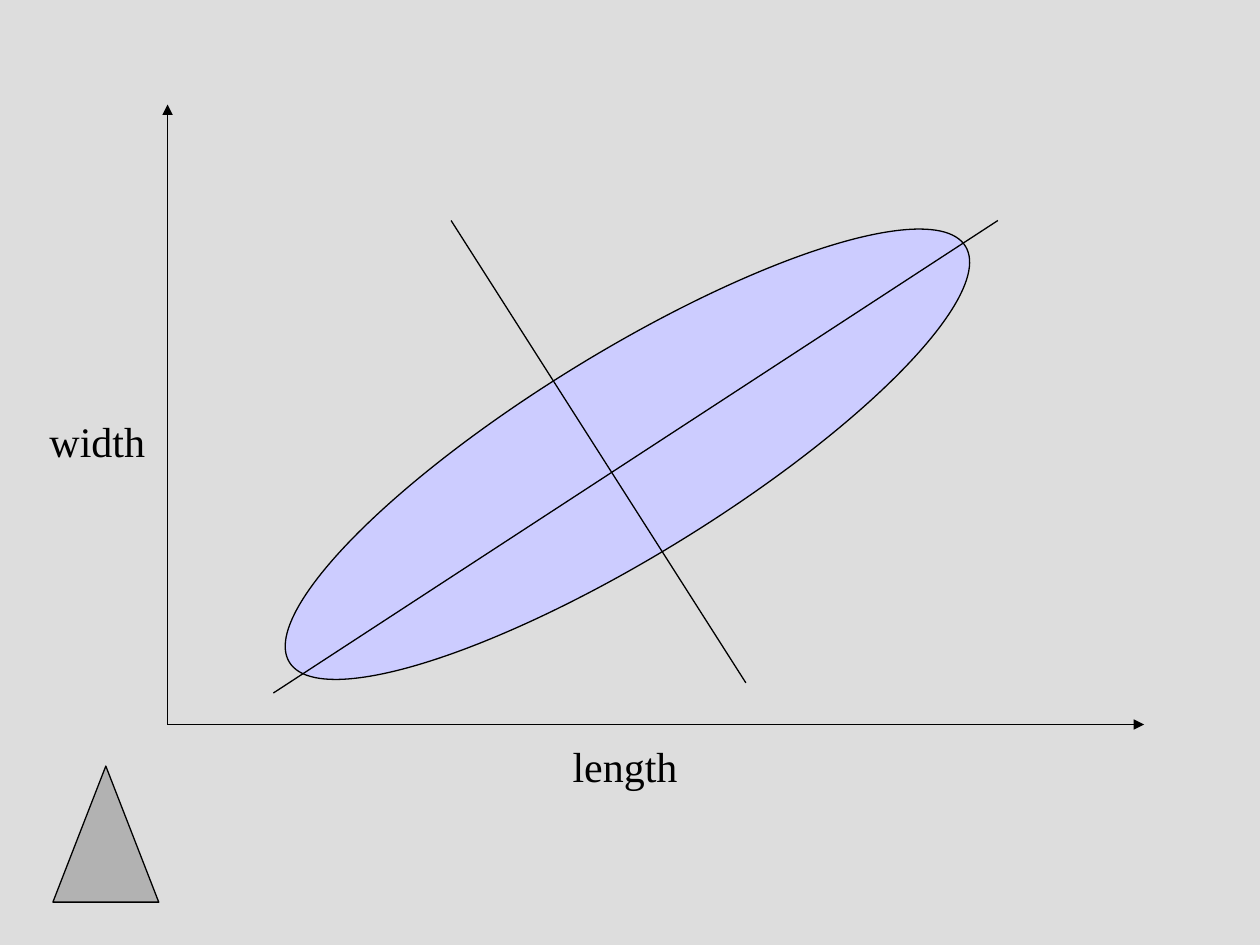
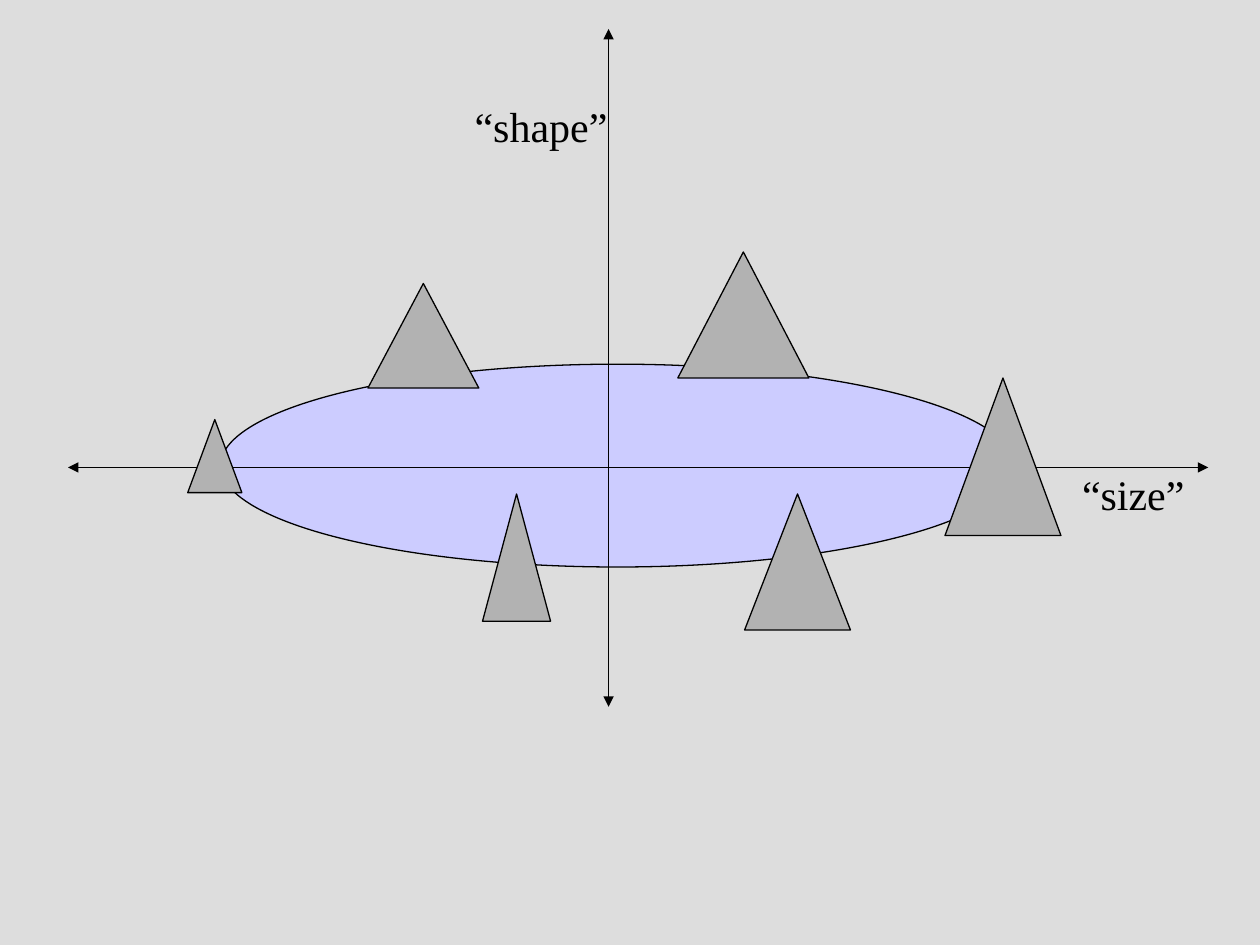
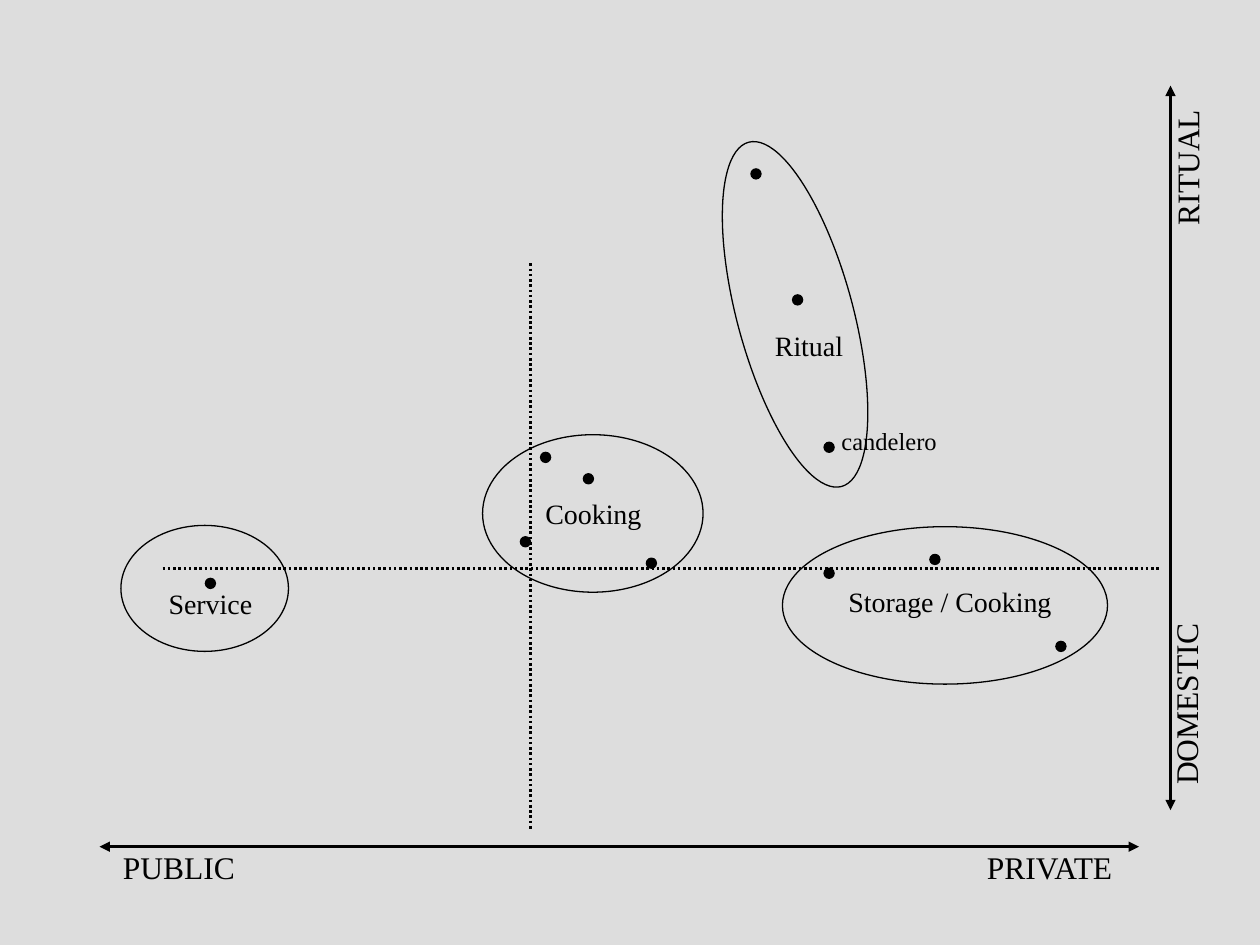
from dataclasses import dataclass

from lxml import etree
from pptx import Presentation
from pptx import util as u
from pptx.dml.color import RGBColor
from pptx.enum import dml, shapes, text
from pptx.oxml import ns


@dataclass(frozen=True)
class Theme:
    background: RGBColor = RGBColor(0xDD, 0xDD, 0xDD)
    ink: RGBColor = RGBColor(0, 0, 0)
    cloud: RGBColor = RGBColor(0xCC, 0xCC, 0xFF)
    point: RGBColor = RGBColor(0xB2, 0xB2, 0xB2)
    font: str = "Times New Roman"
    axis_size: int = 24
    pole_size: int = 18
    cluster_size: int = 16
    item_size: int = 14
    thin: float = 0.75
    bold: float = 1.5


theme = Theme()
OVAL = shapes.MSO_SHAPE.OVAL
TRIANGLE = shapes.MSO_SHAPE.ISOSCELES_TRIANGLE
LEFT, CENTER, RIGHT = text.PP_ALIGN.LEFT, text.PP_ALIGN.CENTER, text.PP_ALIGN.RIGHT


def add_figure(slide, kind, box, fill=None, rotation=0):
    shape = slide.shapes.add_shape(kind, *map(u.Inches, box))
    shape.shadow.inherit = False
    shape.rotation = rotation
    if fill is None:
        shape.fill.background()
    else:
        shape.fill.solid()
        shape.fill.fore_color.rgb = fill
    shape.line.color.rgb = theme.ink
    shape.line.width = u.Pt(theme.thin)


def add_line(slide, ends, width=theme.thin, arrows=(), dash=None):
    line = slide.shapes.add_connector(shapes.MSO_CONNECTOR.STRAIGHT, *map(u.Inches, ends))
    line.line.color.rgb = theme.ink
    line.line.width = u.Pt(width)
    if dash is not None:
        line.line.dash_style = dash
    outline = line.line._get_or_add_ln()
    for arrow in arrows:
        etree.SubElement(outline, ns.qn(f"a:{arrow}"), type="triangle")
    etree.SubElement(line._element.spPr, ns.qn("a:effectLst"))


presentation = Presentation()
presentation.slide_width = u.Inches(10)
presentation.slide_height = u.Inches(7.5)
master_fill = presentation.slide_master.background.fill
master_fill.solid()
master_fill.fore_color.rgb = theme.background
blank = presentation.slide_layouts[6]
measures, components, vessels = [presentation.slides.add_slide(blank) for _ in range(3)]
both_ends = ("headEnd", "tailEnd")

add_figure(measures, OVAL, (1.83, 2.8, 6.3, 1.61), theme.cloud, 328.4)
for axis in [(1.33, 5.75, 9.08, 5.75), (1.33, 5.75, 1.33, 0.83)]:
    add_line(measures, axis, arrows=("tailEnd",))
for component in [(2.17, 5.5, 7.92, 1.75), (5.92, 5.42, 3.58, 1.75)]:
    add_line(measures, component)
add_figure(measures, TRIANGLE, (0.42, 6.08, 0.84, 1.08), theme.point)

add_figure(components, OVAL, (1.75, 2.89, 6.3, 1.61), theme.cloud)
for axis in [(0.54, 3.71, 9.59, 3.71), (4.83, 5.61, 4.83, 0.23)]:
    add_line(components, axis, arrows=both_ends)
for triangle in [
    (7.5, 3, 0.92, 1.25),
    (1.49, 3.33, 0.43, 0.58),
    (5.38, 2, 1.04, 1),
    (2.92, 2.25, 0.88, 0.83),
    (3.83, 3.92, 0.54, 1.01),
    (5.91, 3.92, 0.84, 1.08),
]:
    add_figure(components, TRIANGLE, triangle, theme.point)

for origin in [(4.21, 2.09, 4.21, 6.59), (1.29, 4.51, 9.21, 4.51)]:
    add_line(vessels, origin, theme.bold, dash=dml.MSO_LINE.ROUND_DOT)
for left, top in [
    (5.96, 1.34), (6.29, 2.34), (6.54, 3.51),
    (8.38, 5.09), (6.54, 4.51), (7.38, 4.4),
    (4.29, 3.59), (4.63, 3.76), (4.13, 4.26), (5.13, 4.43),
    (1.63, 4.59),
]:
    add_figure(vessels, OVAL, (left, top, 0.08, 0.08), theme.ink)
for cluster, rotation in [
    ((6.21, 4.18, 2.58, 1.25), 0),
    ((3.83, 3.45, 1.75, 1.25), 0),
    ((5.85, 1.08, 0.92, 2.83), 344.9),
    ((0.96, 4.17, 1.33, 1), 0),
]:
    add_figure(vessels, OVAL, cluster, rotation=rotation)
for axis in [(0.79, 6.72, 9.04, 6.72), (9.29, 6.43, 9.29, 0.68)]:
    add_line(vessels, axis, theme.bold, both_ends)

for slide, words, box, size, alignment, rotation in [
    (measures, "length", (3.67, 5.83, 2.58, 0.5), theme.axis_size, CENTER, 0),
    (measures, "width", (0.17, 3.25, 1.08, 0.5), theme.axis_size, RIGHT, 0),
    (components, "“size”", (8.17, 3.67, 1.33, 0.5), theme.axis_size, RIGHT, 0),
    (components, "“shape”", (3.42, 0.75, 1.5, 0.5), theme.axis_size, RIGHT, 0),
    (vessels, "Storage / Cooking", (6.54, 4.59, 2, 0.37), theme.cluster_size, CENTER, 0),
    (vessels, "Cooking", (3.71, 3.89, 2, 0.37), theme.cluster_size, CENTER, 0),
    (vessels, "PUBLIC", (0.42, 6.68, 2, 0.4), theme.pole_size, CENTER, 0),
    (vessels, "PRIVATE", (7.33, 6.68, 2, 0.4), theme.pole_size, CENTER, 0),
    (vessels, "DOMESTIC", (8.41, 5.39, 2, 0.4), theme.pole_size, CENTER, 270),
    (vessels, "RITUAL", (8.6, 1.13, 1.64, 0.4), theme.pole_size, CENTER, 270),
    (vessels, "Ritual", (6.04, 2.56, 0.75, 0.37), theme.cluster_size, RIGHT, 0),
    (vessels, "candelero", (6.58, 3.33, 2.08, 0.34), theme.item_size, LEFT, 0),
    (vessels, "Service", (0.67, 4.61, 2, 0.37), theme.cluster_size, CENTER, 0),
]:
    label = slide.shapes.add_textbox(*map(u.Inches, box))
    label.rotation = rotation
    label.text_frame.word_wrap = True
    label.text_frame.auto_size = text.MSO_AUTO_SIZE.SHAPE_TO_FIT_TEXT
    paragraph = label.text_frame.paragraphs[0]
    paragraph.alignment = alignment
    run = paragraph.add_run()
    run.text = words
    run.font.name = theme.font
    run.font.size = u.Pt(size)
    run.font.color.rgb = theme.ink

presentation.save("out.pptx")
